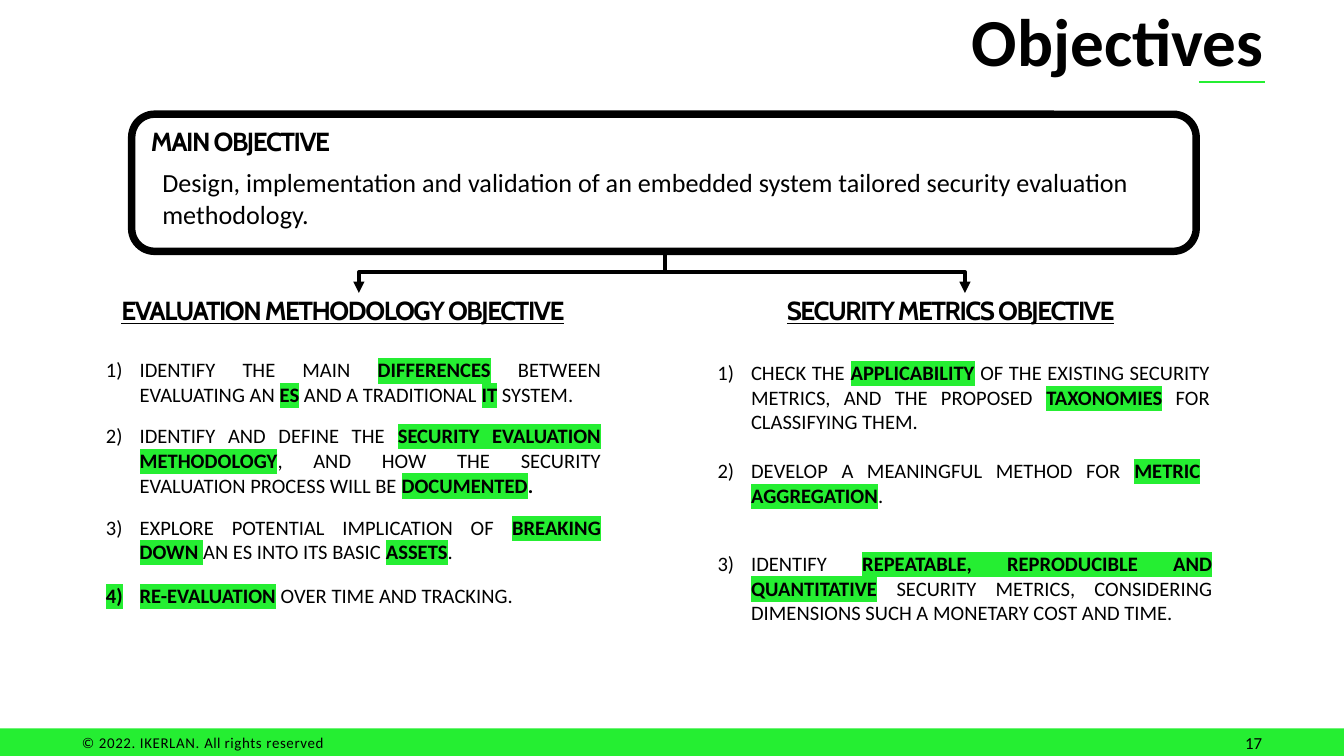
from dataclasses import dataclass

from lxml.etree import SubElement
from pptx import Presentation
from pptx.dml.color import RGBColor
from pptx.enum.shapes import MSO_CONNECTOR as Connector, MSO_SHAPE as Shape
from pptx.enum.text import MSO_ANCHOR as Anchor, MSO_AUTO_SIZE as AutoSize, PP_ALIGN as Align
from pptx.oxml.ns import qn
from pptx.util import Inches, Pt


@dataclass(frozen=True)
class Theme:
    ink: RGBColor = RGBColor(0, 0, 0)
    accent: RGBColor = RGBColor(0x25, 0xEE, 0x32)
    body_font: str = "Calibri"
    heading_font: str = "Cabin"
    title: int = 36
    lead: int = 14
    item: int = 11
    number: int = 9
    footer: int = 8


THEME = Theme()

# Grid of square cells: 100 columns by 56.25 rows
COLUMNS, ROWS = 100, 56.25
CELL = Inches(10) / COLUMNS

METHOD_X, METRICS_X = 6.9, 52.4

# Row, column width and text: *bold and highlighted|bold only*
METHOD_ITEMS = [
    (26.1, 38.8, "IDENTIFY THE MAIN *DIFFERENCES* BETWEEN EVALUATING AN *ES* AND A TRADITIONAL *IT* SYSTEM."),
    (31, 38.8, "IDENTIFY AND DEFINE THE *SECURITY EVALUATION METHODOLOGY*, AND HOW THE SECURITY "
               "EVALUATION PROCESS WILL BE *DOCUMENTED|.*"),
    (37.8, 38.8, "EXPLORE POTENTIAL IMPLICATION OF *BREAKING DOWN *AN ES INTO ITS BASIC *ASSETS*."),
    (42.9, 38.8, "*RE-EVALUATION* OVER TIME AND TRACKING."),
]
METRICS_ITEMS = [
    (26.3, 38.6, "CHECK THE *APPLICABILITY* OF THE EXISTING SECURITY METRICS, AND THE PROPOSED "
                 "*TAXONOMIES* FOR CLASSIFYING THEM."),
    (33.6, 37.9, "DEVELOP A MEANINGFUL METHOD FOR *METRIC AGGREGATION*."),
    (40.5, 38.8, "IDENTIFY *REPEATABLE, REPRODUCIBLE AND QUANTITATIVE* SECURITY METRICS, "
                 "CONSIDERING DIMENSIONS SUCH A MONETARY COST AND TIME."),
]


def cells(*counts):
    return [round(count * CELL) for count in counts]


def add_box(slide, area, size, font=THEME.body_font, align=Align.LEFT, inset=True, bold=None, grow=True):
    """Add an empty text box and return its paragraph, ready for runs."""
    frame = slide.shapes.add_textbox(*cells(*area)).text_frame
    frame.word_wrap = True
    frame.auto_size = AutoSize.SHAPE_TO_FIT_TEXT if grow else AutoSize.NONE
    if not inset:
        frame.margin_left = frame.margin_top = frame.margin_right = frame.margin_bottom = 0
    paragraph = frame.paragraphs[0]
    paragraph.alignment = align
    paragraph.font.name, paragraph.font.size = font, Pt(size)
    paragraph.font.bold = bold
    paragraph.font.color.rgb = THEME.ink
    return paragraph


def add_run(paragraph, text, spacing=0, strong=None, highlight=False):
    run = paragraph.add_run()
    run.text = text
    run.font.bold = strong
    properties = run.font._element
    if spacing:
        properties.set("spc", str(round(spacing * 100)))
    if highlight:
        mark = SubElement(properties, qn("a:highlight"))
        SubElement(mark, qn("a:srgbClr"), val=str(THEME.accent))
    return run


def add_heading(slide, area, text, underline=None):
    paragraph = add_box(slide, area, THEME.lead, THEME.heading_font, inset=False, bold=True)
    paragraph._p.get_or_add_pPr().set("marL", str(Pt(1)))
    add_run(paragraph, text, spacing=-0.8, strong=True).font.underline = underline


def add_item(slide, x, y, width, number, text):
    paragraph = add_box(slide, (x, y, width, 4.7), THEME.item, align=Align.JUSTIFY)
    properties = paragraph._p.get_or_add_pPr()
    indent = Inches(0.25)
    properties.set("marL", str(indent))
    properties.set("indent", str(-indent))
    numbering = properties.makeelement(qn("a:buAutoNum"), {"type": "arabicParenR", "startAt": str(number)})
    properties.insert(0, numbering)
    for index, part in enumerate(text.split("*")):
        marked, _, unmarked = part.partition("|")
        strong = index % 2 == 1
        if marked:
            add_run(paragraph, marked, strong=strong, highlight=strong)
        if unmarked:
            add_run(paragraph, unmarked, strong=strong)


def add_line(slide, kind, start, end, color, width):
    line = slide.shapes.add_connector(kind, *cells(*start, *end))
    line.line.color.rgb = color
    line.line.width = Pt(width)
    SubElement(line.element.spPr, qn("a:effectLst"))
    return line


def add_branch(slide, start, end):
    """Elbow arrow that leaves downwards, runs sideways and arrives downwards."""
    branch = add_line(slide, Connector.ELBOW, start, end, THEME.ink, 2)
    (x0, y0), (x1, y1) = start, end
    drop, reach = y1 - y0, abs(x1 - x0)
    branch.left, branch.top, branch.width, branch.height = cells(
        (x0 + x1 - drop) / 2, (y0 + y1 - reach) / 2, drop, reach)
    frame = branch.element.spPr.get_or_add_xfrm()
    for flip in ("flipH", "flipV"):
        frame.attrib.pop(flip, None)
    if x1 < x0:
        frame.set("rot", str(90 * 60000))
    else:
        frame.set("rot", str(270 * 60000))
        frame.set("flipH", "1")
    SubElement(branch.line._get_or_add_ln(), qn("a:tailEnd"), type="triangle")


def add_footer(slide):
    bar = slide.shapes.add_shape(Shape.RECTANGLE, *cells(0, 54.2, COLUMNS, ROWS - 54.2))
    bar.shadow.inherit = False
    bar.fill.solid()
    bar.fill.fore_color.rgb = THEME.accent
    bar.line.fill.background()
    rights = add_box(slide, (6.1, 54.6, 28.5, 1.3), THEME.footer, inset=False)
    for text, spacing in [("© 2022. IKERLAN. ", 0.3), ("All ", 0.2), ("rights reserved", 0.3)]:
        add_run(rights, text, spacing)
    add_run(add_box(slide, (71.6, 54, 23.3, 2.3), THEME.number, align=Align.RIGHT, grow=False), "17")


def add_title(slide, text):
    add_line(slide, Connector.STRAIGHT, (89.2, 6.1), (94.1, 6.1), THEME.accent, 0.95)
    title = slide_title = add_box(slide, (23.2, -0.2, 71.8, 6.3), THEME.title,
                                  align=Align.RIGHT, bold=True, grow=False)
    add_run(title, text, strong=True)
    slide_title._parent.vertical_anchor = Anchor.MIDDLE


def add_main_objective(slide):
    panel = slide.shapes.add_shape(Shape.ROUNDED_RECTANGLE, *cells(9.8, 8.5, 79.2, 10.2))
    panel.shadow.inherit = False
    panel.fill.background()
    panel.line.color.rgb = THEME.ink
    panel.line.width = Pt(4)
    add_heading(slide, (11.1, 9.3, 76.4, 2.5), "MAIN OBJECTIVE")
    add_run(add_box(slide, (11.1, 11.9, 78, 5.7), THEME.lead),
            "Design, implementation and validation of an embedded system tailored "
            "security evaluation methodology.")


def main():
    deck = Presentation()
    deck.slide_width, deck.slide_height = cells(COLUMNS, ROWS)
    slide = deck.slides.add_slide(deck.slide_layouts[6])

    add_footer(slide)
    add_title(slide, "Objectives")

    # Main objective and its two branches
    for target in (26.7, 71.8):
        add_branch(slide, (49.5, 18.7), (target, 21.8))
    add_main_objective(slide)

    # Partial objectives
    add_heading(slide, (8.9, 21.9, 35.7, 2.5), "EVALUATION METHODOLOGY OBJECTIVE", underline=True)
    add_heading(slide, (58.4, 21.9, 26.8, 2.5), "SECURITY METRICS OBJECTIVE", underline=True)
    for x, items in ((METHOD_X, METHOD_ITEMS), (METRICS_X, METRICS_ITEMS)):
        for number, (y, width, text) in enumerate(items, 1):
            add_item(slide, x, y, width, number, text)

    deck.save("out.pptx")


if __name__ == "__main__":
    main()
